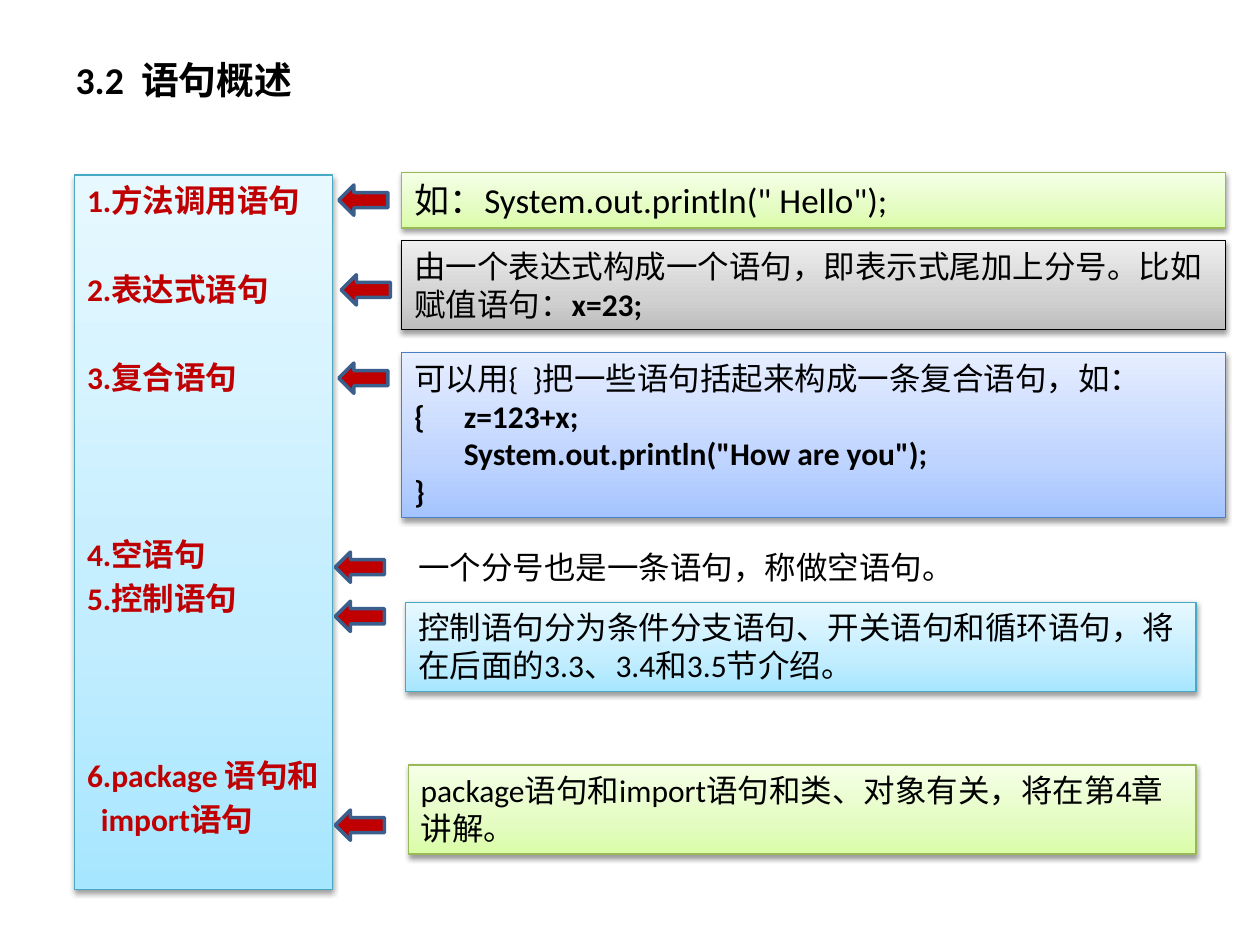
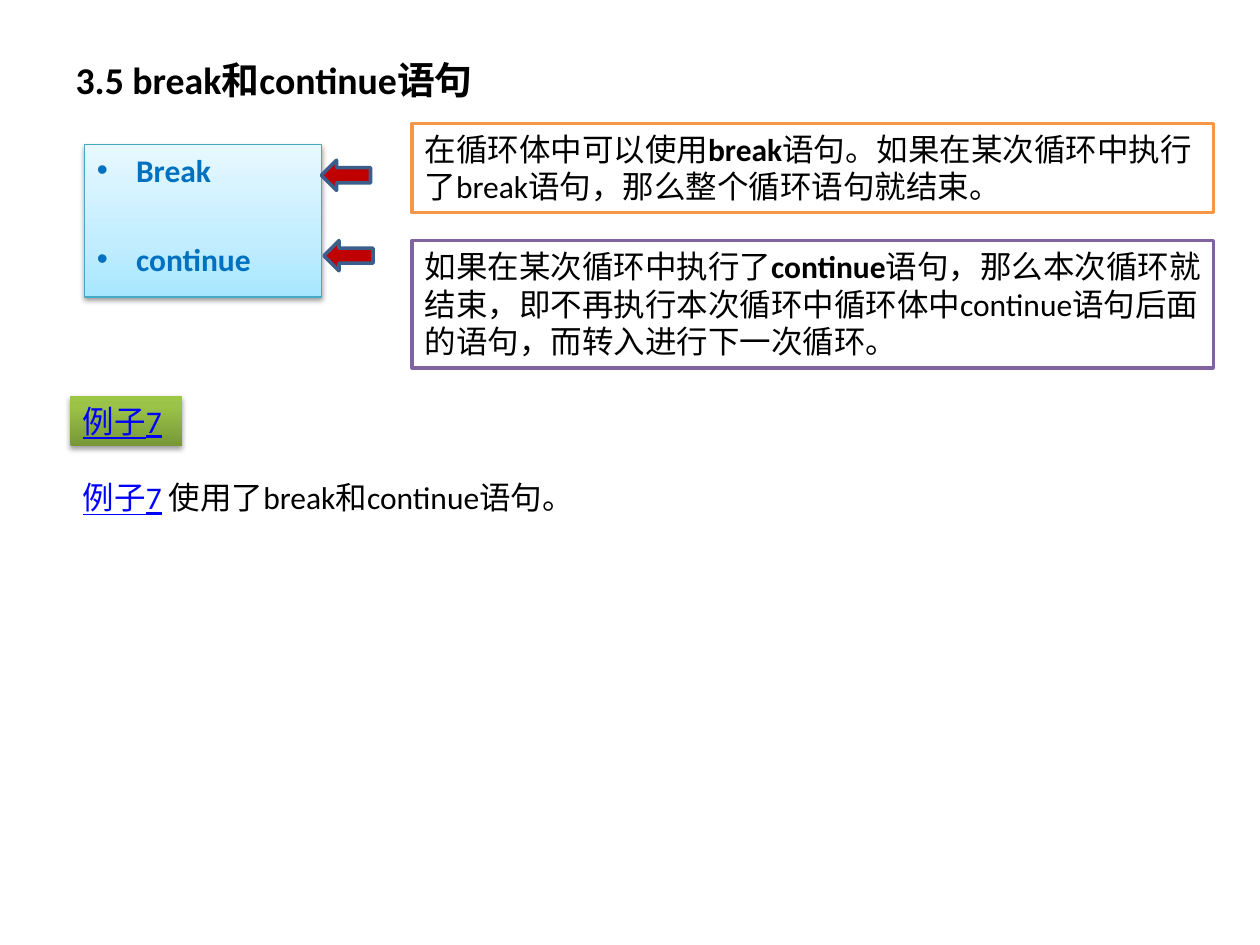
from lxml.etree import SubElement
from pptx import Presentation
from pptx.dml.color import RGBColor
from pptx.enum.shapes import MSO_SHAPE
from pptx.enum.text import MSO_ANCHOR, MSO_AUTO_SIZE, PP_ALIGN
from pptx.oxml.ns import qn
from pptx.util import Cm, Pt

HUES = {
    "black": "000000", "white": "FFFFFF", "red": "C00000", "navy": "3A5F8C",
    "blue": "0070C0", "link": "0000FF", "orange": "F79646", "purple": "8064A2",
}
FADES = {
    "aqua": ("46AAC5", [(0, "A7E6FF"), (35, "C1EDFF"), (100, "E7F8FF")]),
    "lime": ("98B955", [(0, "DAFDA7"), (35, "E4FCC2"), (100, "F5FFE7")]),
    "grey": ("000000", [(0, "BDBDBD"), (35, "D1D1D1"), (100, "EEEEEE")]),
    "sky": ("4B7EBC", [(0, "A4C4FF"), (35, "BFD4FF"), (100, "E6EEFF")]),
    "leaf": (None, [(0, "779737"), (80, "9BC348"), (100, "9DC746")]),
}
FONT = "Calibri"
STEP = 25.3


def dress(shape, look):
    if look in FADES:
        edge, stops = FADES[look]
        shape.fill.gradient()
        shape.fill.gradient_angle = 90
        props = shape.element.spPr
        ramp = props.find(".//" + qn("a:gsLst"))
        ramp.clear()
        for spot, hue in stops:
            stop = SubElement(ramp, qn("a:gs"), pos=str(spot * 1000))
            SubElement(stop, qn("a:srgbClr"), val=hue)
        if edge:
            shape.line.color.rgb = RGBColor.from_string(edge)
            shape.line.width = Pt(0.75)
        shape.shadow.inherit = False
        glow = SubElement(props.find(qn("a:effectLst")), qn("a:outerShdw"),
                          blurRad="40000", dist="20000", dir="5400000", rotWithShape="0")
        tint = SubElement(glow, qn("a:srgbClr"), val=HUES["black"])
        SubElement(tint, qn("a:alpha"), val="38000")
    elif look:
        shape.fill.solid()
        shape.fill.fore_color.rgb = RGBColor.from_string(HUES["white"])
        shape.line.color.rgb = RGBColor.from_string(HUES[look])
        shape.line.width = Pt(2)


def write(shape, lines, size=18, hue="black"):
    frame = shape.text_frame
    frame.word_wrap = True
    frame.auto_size = MSO_AUTO_SIZE.NONE
    frame.vertical_anchor = MSO_ANCHOR.TOP
    for row, line in enumerate(lines):
        para = frame.add_paragraph() if row else frame.paragraphs[0]
        para.alignment = PP_ALIGN.LEFT
        for turn, bit in enumerate(line.split("*")):
            if bit:
                run = para.add_run()
                run.text = bit
                run.font.name = FONT
                run.font.size = Pt(size)
                run.font.bold = turn % 2 == 1
                run.font.color.rgb = RGBColor.from_string(HUES[hue])
    return frame.paragraphs


PAGES = [
    {
        "title": "3.2  语句概述", "wide": 8.23,
        "list": (1.5, 3.53, 5.21, 14.4), "hue": "red", "dots": False,
        "items": [("1.方法调用语句", 0), ("2.表达式语句", 1), ("3.复合语句", 1),
                  ("4.空语句", 3), ("5.控制语句", 0), ("6.package 语句和", 3),
                  ("import语句", 0)],
        "heads": [(6.83, 3.73), (6.88, 5.54), (6.83, 7.32),
                  (6.76, 11.13), (6.76, 12.12), (6.76, 16.33)],
        "notes": [
            ((8.1, 3.48, 16.61, 1.12), "lime", 20,
             ["如：System.out.println(\" Hello\");"]),
            ((8.1, 4.85, 16.61, 1.8), "grey", 18,
             ["由一个表达式构成一个语句，即表示式尾加上分号。比如赋值语句：*x=23;*"]),
            ((8.1, 7.11, 16.61, 3.33), "sky", 18,
             ["可以用{  }把一些语句括起来构成一条复合语句，如：", "*{\tz=123+x;*",
              "*System.out.println(\"How are you\");*", "*}*"]),
            ((8.18, 10.92, 11.4, 1.02), None, 18,
             ["一个分号也是一条语句，称做空语句。"]),
            ((8.18, 12.14, 15.93, 1.8), "aqua", 18,
             ["控制语句分为条件分支语句、开关语句和循环语句，将在后面的3.3、3.4和3.5节介绍。"]),
            ((8.23, 15.42, 15.88, 1.8), "lime", 18,
             ["package语句和import语句和类、对象有关，将在第4章讲解。"]),
        ],
    },
    {
        "title": "3.5 break和continue语句", "wide": 9.63,
        "list": (1.7, 2.92, 4.78, 3.07), "hue": "blue", "dots": True,
        "items": [("Break", 0), ("continue", 1)],
        "heads": [(6.48, 3.23), (6.53, 4.85)],
        "notes": [
            ((8.31, 2.49, 16.15, 1.8), "orange", 18,
             ["在循环体中可以使用*break*语句。如果在某次循环中执行了break语句，那么整个循环语句就结束。"]),
            ((8.31, 4.85, 16.15, 2.57), "purple", 18,
             ["如果在某次循环中执行了*continue*语句，那么本次循环就结束，即不再执行本次循环中"
              "循环体中continue语句后面的语句，而转入进行下一次循环。"]),
        ],
    },
]

deck = Presentation()
deck.slide_width, deck.slide_height = Cm(25.4), Cm(19.05)

for page in PAGES:
    slide = deck.slides.add_slide(deck.slide_layouts[1])
    title, body = slide.placeholders
    title.left, title.top, title.width, title.height = map(Cm, (1.27, 0.76, page["wide"], 3.23))
    write(title, ["*" + page["title"] + "*"], 21.6)
    title.text_frame.margin_top = Cm(0.39)

    body.left, body.top, body.width, body.height = map(Cm, page["list"])
    dress(body, "aqua")
    paras = write(body, ["*" + text + "*" for text, gap in page["items"]], 18, page["hue"])
    for row, (para, (text, gap)) in enumerate(zip(paras, page["items"])):
        para.space_before = Pt(3.6 + gap * STEP if row else 0)
        props = para._p.get_or_add_pPr()
        inset = Cm(0.79) if page["dots"] else 0
        props.set("marL", str(inset))
        props.set("indent", str(-inset))
        if not page["dots"]:
            SubElement(props, qn("a:buNone"))

    for left, top in page["heads"]:
        arrow = slide.shapes.add_shape(MSO_SHAPE.LEFT_ARROW, Cm(left), Cm(top), Cm(0.99), Cm(0.61))
        arrow.shadow.inherit = False
        arrow.fill.solid()
        arrow.fill.fore_color.rgb = RGBColor.from_string(HUES["red"])
        arrow.line.color.rgb = RGBColor.from_string(HUES["navy"])
        arrow.line.width = Pt(2)

    for place, look, size, lines in page["notes"]:
        note = slide.shapes.add_textbox(*map(Cm, place))
        dress(note, look)
        rows = write(note, lines, size)
        if look == "sky":
            for para, hang in zip(rows[1:3], (-1, 0)):
                props = para._p.get_or_add_pPr()
                props.set("marL", str(Cm(1)))
                props.set("indent", str(Cm(hang)))

    if not page["dots"]:
        paras[-1]._p.pPr.set("marL", str(Cm(0.28)))

for top, wide, look, line in [(9.52, 12.22, None, "*例子7* 使用了break和continue语句。"),
                              (7.98, 2.26, "leaf", "*例子7*")]:
    box = slide.shapes.add_textbox(Cm(1.42), Cm(top), Cm(wide), Cm(1.02))
    dress(box, look)
    mark = write(box, [line])[0].runs[0].font
    mark.bold = False
    mark.underline = True
    mark.color.rgb = RGBColor.from_string(HUES["link"])

deck.save("out.pptx")
